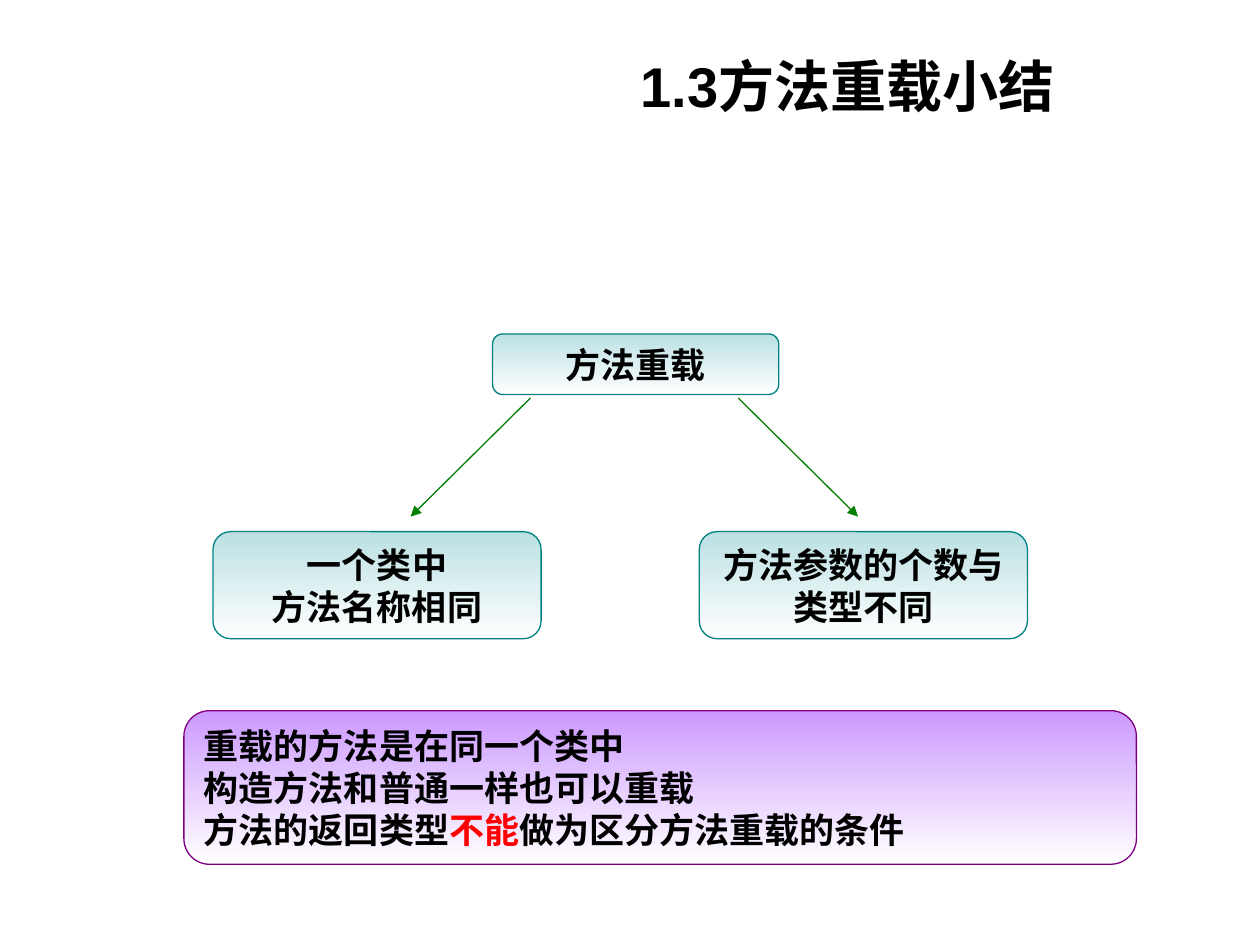
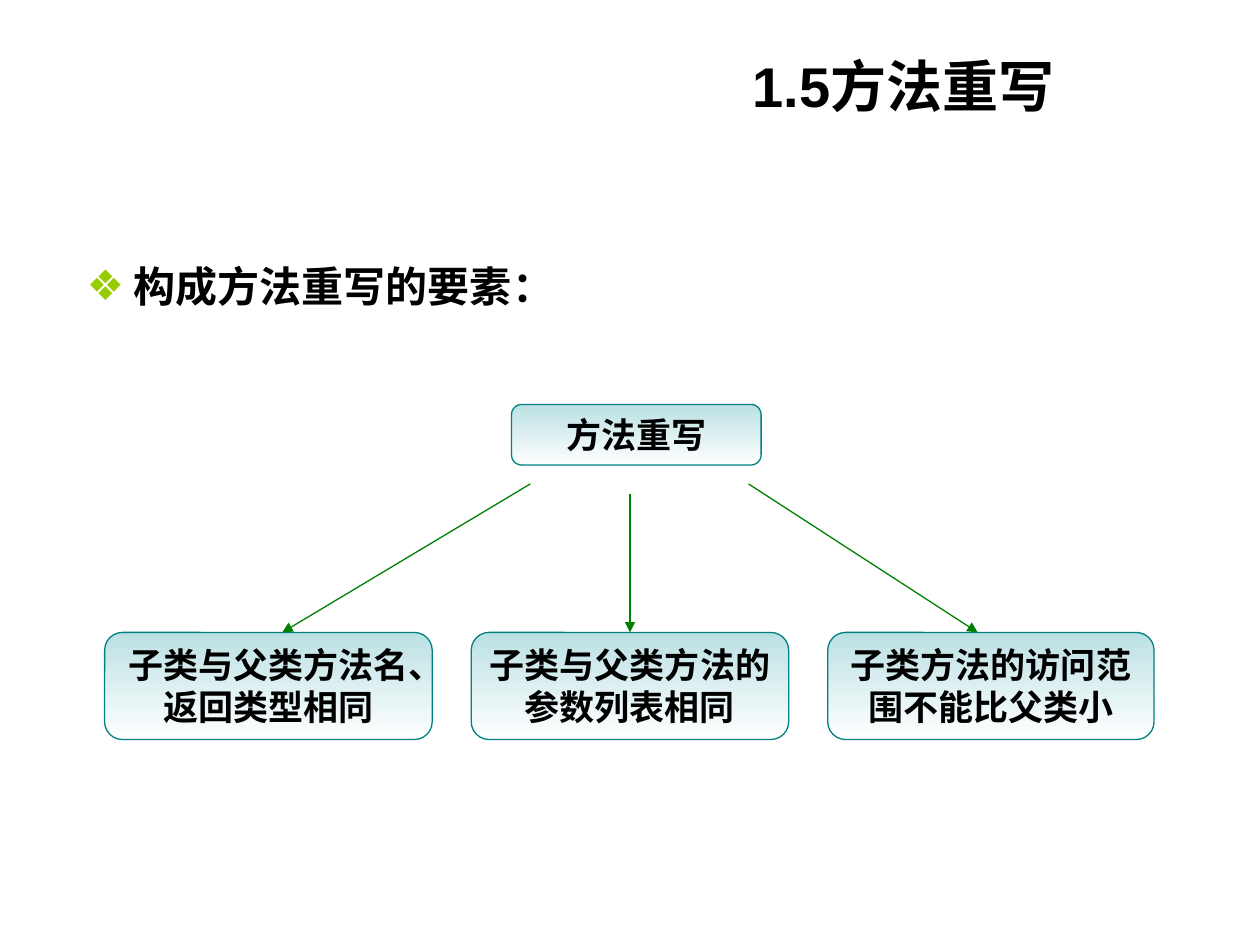
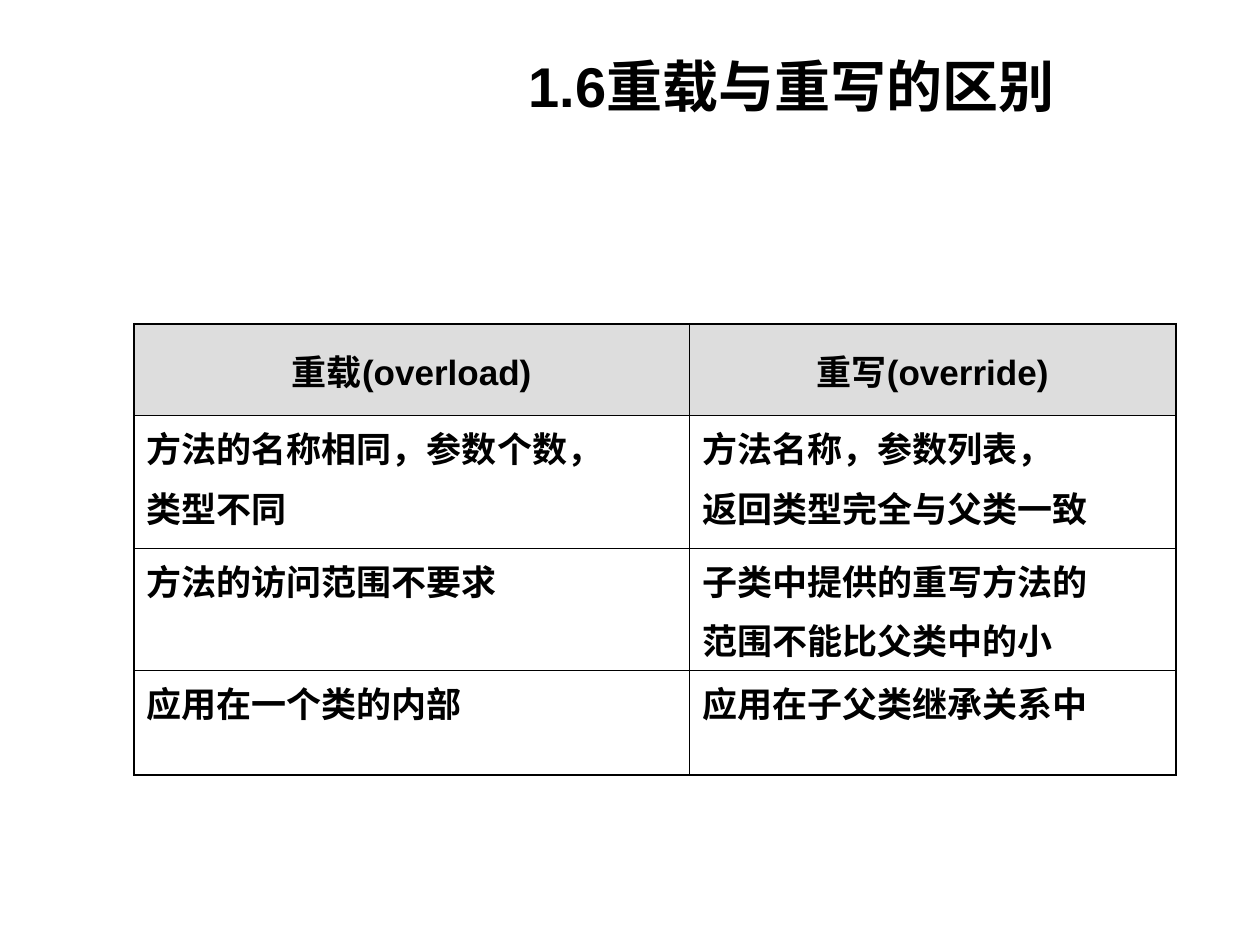
from lxml.etree import SubElement
from pptx import Presentation
from pptx.dml.color import RGBColor
from pptx.enum.shapes import MSO_CONNECTOR as Connector, MSO_SHAPE as Shape
from pptx.enum.text import MSO_ANCHOR as Anchor, PP_ALIGN as Align
from pptx.oxml.ns import qn
from pptx.util import Pt

BLACK = RGBColor(0x00, 0x00, 0x00)
WHITE = RGBColor(0xFF, 0xFF, 0xFF)
RED = RGBColor(0xFF, 0x00, 0x00)
GREEN = RGBColor(0x00, 0x80, 0x00)
LIME = RGBColor(0x99, 0xCC, 0x00)
TEAL = RGBColor(0x00, 0x80, 0x80)
AQUA = RGBColor(0xBB, 0xE0, 0xE3)
PURPLE = RGBColor(0x80, 0x00, 0x80)
LILAC = RGBColor(0xCC, 0x99, 0xFF)
GRAY = RGBColor(0xDD, 0xDD, 0xDD)

FONT = "Arial"
BODY_SIZE = 20
LINE_HEIGHT = 24
THICK, THIN = 1.08, 0.45


def add_bullet(para, mark, color, indent):
    props = para._p.get_or_add_pPr()
    props.set("marL", str(Pt(indent)))
    props.set("indent", str(-Pt(indent)))
    holder = SubElement(props, qn("a:buClr"))
    SubElement(holder, qn("a:srgbClr"), val=str(color))
    SubElement(props, qn("a:buFont"), typeface=FONT)
    SubElement(props, qn("a:buChar"), char=mark)


def write_text(frame, lines, size=BODY_SIZE, align=Align.LEFT, anchor=None,
               gap=0, line_height=None, bullet=None):
    frame.word_wrap = True
    if anchor is not None:
        frame.vertical_anchor = anchor
    for index, line in enumerate(lines):
        para = frame.paragraphs[0] if index == 0 else frame.add_paragraph()
        para.alignment = align
        if line_height:
            para.line_spacing = Pt(line_height)
        if index and gap:
            para.space_before = Pt(gap)
        if bullet:
            add_bullet(para, bullet, LIME, 27)
        spans = [(line, BLACK)] if isinstance(line, str) else line
        for text, color in spans:
            span = para.add_run()
            span.text = text
            span.font.name = FONT
            span.font.size = Pt(size)
            span.font.bold = True
            span.font.color.rgb = color


class DeckBuilder:
    def __init__(self):
        self.deck = Presentation()
        self.deck.slide_width = Pt(720)
        self.deck.slide_height = Pt(540)
        self.page = None

    def new_page(self, title):
        self.page = self.deck.slides.add_slide(self.deck.slide_layouts[6])
        self.text(184.3, 25.9, 425.5, 45.4, [title], size=32,
                  align=Align.RIGHT, anchor=Anchor.MIDDLE)

    def text(self, left, top, width, height, lines, **style):
        box = self.page.shapes.add_textbox(Pt(left), Pt(top), Pt(width), Pt(height))
        write_text(box.text_frame, lines, **style)

    def panel(self, left, top, width, height, lines, kind=Shape.FLOWCHART_ALTERNATE_PROCESS,
              tint=AQUA, edge=TEAL, align=Align.CENTER):
        box = self.page.shapes.add_shape(kind, Pt(left), Pt(top), Pt(width), Pt(height))
        box.shadow.inherit = False
        box.fill.gradient()
        box.fill.gradient_angle = 270
        for stop, color in zip(box.fill.gradient_stops, (tint, WHITE)):
            stop.color.rgb = color
        box.line.color.rgb = edge
        box.line.width = Pt(0.75)
        write_text(box.text_frame, lines, align=align, anchor=Anchor.MIDDLE,
                   line_height=LINE_HEIGHT)

    def arrow(self, start_x, start_y, end_x, end_y):
        line = self.page.shapes.add_connector(
            Connector.STRAIGHT, Pt(start_x), Pt(start_y), Pt(end_x), Pt(end_y))
        line.line.color.rgb = GREEN
        line.line.width = Pt(0.75)
        SubElement(line.line._get_or_add_ln(), qn("a:tailEnd"), type="triangle")
        SubElement(line._element.spPr, qn("a:effectLst"))

    def table(self, left, top, widths, heights, rows):
        frame = self.page.shapes.add_table(
            len(rows), len(widths), Pt(left), Pt(top), Pt(sum(widths)), Pt(sum(heights)))
        table = frame.table
        table.first_row = table.horz_banding = False
        for column, width in zip(table.columns, widths):
            column.width = Pt(width)
        for row, height in zip(table.rows, heights):
            row.height = Pt(height)
        last_row, last_column = len(rows) - 1, len(widths) - 1
        for r, row in enumerate(rows):
            for c, lines in enumerate(row):
                cell = table.cell(r, c)
                if r == 0:
                    cell.fill.solid()
                    cell.fill.fore_color.rgb = GRAY
                    cell.vertical_anchor = Anchor.MIDDLE
                else:
                    cell.fill.background()
                write_text(cell.text_frame, lines, gap=5,
                           align=Align.LEFT if r else Align.CENTER)
                self.borders(cell, L=c == 0, R=c == last_column, T=r == 0, B=r == last_row)

    def borders(self, cell, **outer_sides):
        props = cell._tc.get_or_add_tcPr()
        for index, (side, outer) in enumerate(outer_sides.items()):
            edge = SubElement(props, qn(f"a:ln{side}"), w=str(Pt(THICK if outer else THIN)))
            fill = SubElement(edge, qn("a:solidFill"))
            SubElement(fill, qn("a:srgbClr"), val=str(BLACK))
            props.insert(index, edge)


def overload_summary(builder):
    builder.new_page("1.3方法重载小结")
    builder.panel(281.5, 190.8, 163.5, 34.6, ["方法重载"])
    for left, lines in ((121.7, ["一个类中", "方法名称相同"]),
                        (399.6, ["方法参数的个数与类型不同"])):
        builder.panel(left, 303.8, 187.5, 61.2, lines)
    for start_x, end_x in ((421.9, 490.3), (303.1, 234.7)):
        builder.arrow(start_x, 227.5, end_x, 295.2)
    builder.panel(105.1, 406.1, 544.3, 87.8, [
        "重载的方法是在同一个类中",
        "构造方法和普通一样也可以重载",
        [("方法的返回类型", BLACK), ("不能", RED), ("做为区分方法重载的条件", BLACK)],
    ], kind=Shape.ROUNDED_RECTANGLE, tint=LILAC, edge=PURPLE, align=Align.LEFT)


def override_elements(builder):
    builder.new_page("1.5方法重写")
    builder.text(42.5, 145.4, 311.8, 36.7, ["构成方法重写的要素："],
                 size=24, bullet="❖", line_height=29)
    builder.panel(292.3, 231.1, 142.6, 34.6, ["方法重写"])
    for left, width, line in ((59.8, 187.2, "子类与父类方法名、返回类型相同"),
                              (269.3, 181.4, "子类与父类方法的参数列表相同"),
                              (473, 186.5, "子类方法的访问范围不能比父类小")):
        builder.panel(left, 361.4, width, 61.2, [line])
    for start_x, start_y, end_x in ((360, 282.2, 360), (303.1, 276.5, 161.3),
                                    (427.7, 276.5, 558.7)):
        builder.arrow(start_x, start_y, end_x, 361.4)


def overload_versus_override(builder):
    builder.new_page("1.6重载与重写的区别")
    builder.table(76.5, 185, (317.5, 278), (52.6, 75.6, 69.8, 59.8), [
        (["重载(overload)"], ["重写(override)"]),
        (["方法的名称相同，参数个数，", "类型不同"],
         ["方法名称，参数列表，", "返回类型完全与父类一致"]),
        (["方法的访问范围不要求"],
         ["子类中提供的重写方法的", "范围不能比父类中的小"]),
        (["应用在一个类的内部"], ["应用在子父类继承关系中"]),
    ])


def main():
    builder = DeckBuilder()
    overload_summary(builder)
    override_elements(builder)
    overload_versus_override(builder)
    builder.deck.save("out.pptx")


if __name__ == "__main__":
    main()
